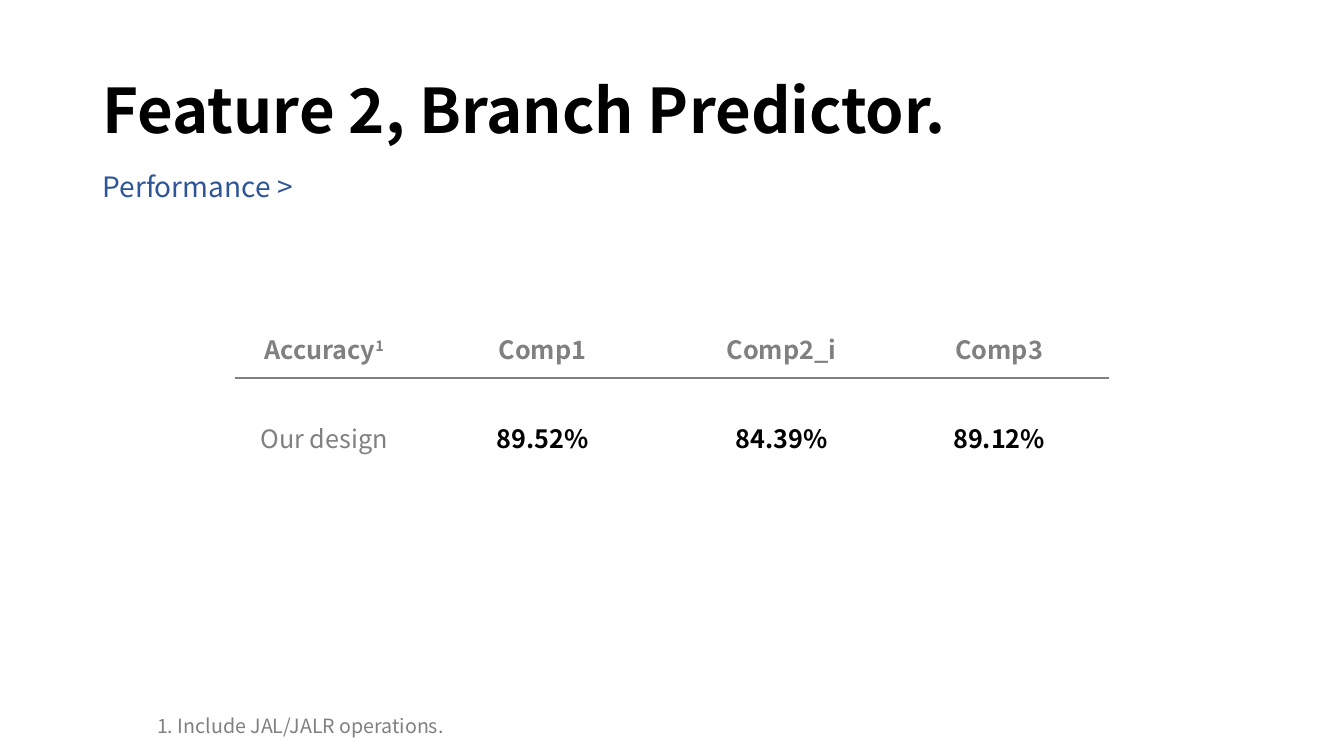
import pptx
import pptx.dml.color
import pptx.enum.text
import pptx.oxml
import pptx.oxml.ns
import pptx.util

EMU_PER_PX = 9144
FONT = "Noto Sans CJK SC"
BLACK, GRAY, BLUE, WHITE = "000000", "808080", "2F5597", "FFFFFF"

COLUMN_WIDTHS = [175, 258, 216, 216]
ROW_HEIGHT = 89
ACCURACY_ROWS = [
    ["Accuracy", "Comp1", "Comp2_i", "Comp3"],
    ["Our design", "89.52%", "84.39%", "89.12%"],
]


def px(length):
    return pptx.util.Emu(length * EMU_PER_PX)


def rgb(color):
    return pptx.dml.color.RGBColor.from_string(color)


def style_paragraph(paragraph, size, color, bold=False):
    paragraph.font.name = FONT
    paragraph.font.size = pptx.util.Pt(size)
    paragraph.font.bold = bold
    paragraph.font.color.rgb = rgb(color)


def add_text(slide, text, left, top, width, height, size, color, bold=False):
    """Add a one-paragraph text box and return its text frame."""
    shape = slide.shapes.add_textbox(px(left), px(top), px(width), px(height))
    frame = shape.text_frame
    frame.word_wrap = True
    frame.text = text
    style_paragraph(frame.paragraphs[0], size, color, bold)
    return frame


def set_borders(cell, **colors):
    """Draw 1 pt borders; sides are L, R, T, B, given in that order."""
    properties = cell._tc.get_or_add_tcPr()
    for index, (side, color) in enumerate(colors.items()):
        line = pptx.oxml.parse_xml(
            f'<a:ln{side} {pptx.oxml.ns.nsdecls("a")} w="12700"><a:solidFill>'
            f'<a:srgbClr val="{color}"/></a:solidFill></a:ln{side}>'
        )
        properties.insert(index, line)


def fill_cell(cell, text, color, bold):
    cell.text = text
    cell.fill.solid()
    cell.fill.fore_color.rgb = rgb(WHITE)
    paragraph = cell.text_frame.paragraphs[0]
    paragraph.alignment = pptx.enum.text.PP_ALIGN.CENTER
    paragraph.line_spacing = 2.0
    style_paragraph(paragraph, 18, color, bold)


def add_superscript(paragraph, text):
    run = paragraph.add_run()
    run.text = text
    run.font._element.set("baseline", "30000")


def add_accuracy_table(slide, left, top):
    row_count = len(ACCURACY_ROWS)
    table = slide.shapes.add_table(
        row_count, len(COLUMN_WIDTHS), px(left), px(top),
        px(sum(COLUMN_WIDTHS)), px(ROW_HEIGHT * row_count),
    ).table
    table.first_row = False
    table.horz_banding = False
    for column, width in zip(table.columns, COLUMN_WIDTHS):
        column.width = px(width)
    for row_index, texts in enumerate(ACCURACY_ROWS):
        table.rows[row_index].height = px(ROW_HEIGHT)
        is_header = row_index == 0
        for column_index, text in enumerate(texts):
            cell = table.cell(row_index, column_index)
            is_value = not is_header and column_index > 0
            fill_cell(cell, text, BLACK if is_value else GRAY, is_header or is_value)
            if is_header:
                set_borders(cell, B=GRAY)
            else:
                set_borders(cell, L=WHITE, R=WHITE, T=GRAY)
    add_superscript(table.cell(0, 0).text_frame.paragraphs[0], "1")


def main():
    presentation = pptx.Presentation()
    presentation.slide_width = px(1333)
    presentation.slide_height = px(750)
    slide = presentation.slides.add_slide(presentation.slide_layouts[6])

    title = add_text(slide, "Feature 2, Branch Predictor.",
                     92, 40, 1150, 145, 44, BLACK, bold=True)
    title.vertical_anchor = pptx.enum.text.MSO_ANCHOR.MIDDLE
    title.paragraphs[0].line_spacing = 0.9
    add_text(slide, "Performance >", 92, 163, 220, 44, 20, BLUE)
    add_accuracy_table(slide, 234, 286)
    add_text(slide, "1. Include JAL/JALR operations.",
             146, 703, 1005, 34, 14, GRAY)

    presentation.save("out.pptx")


if __name__ == "__main__":
    main()
